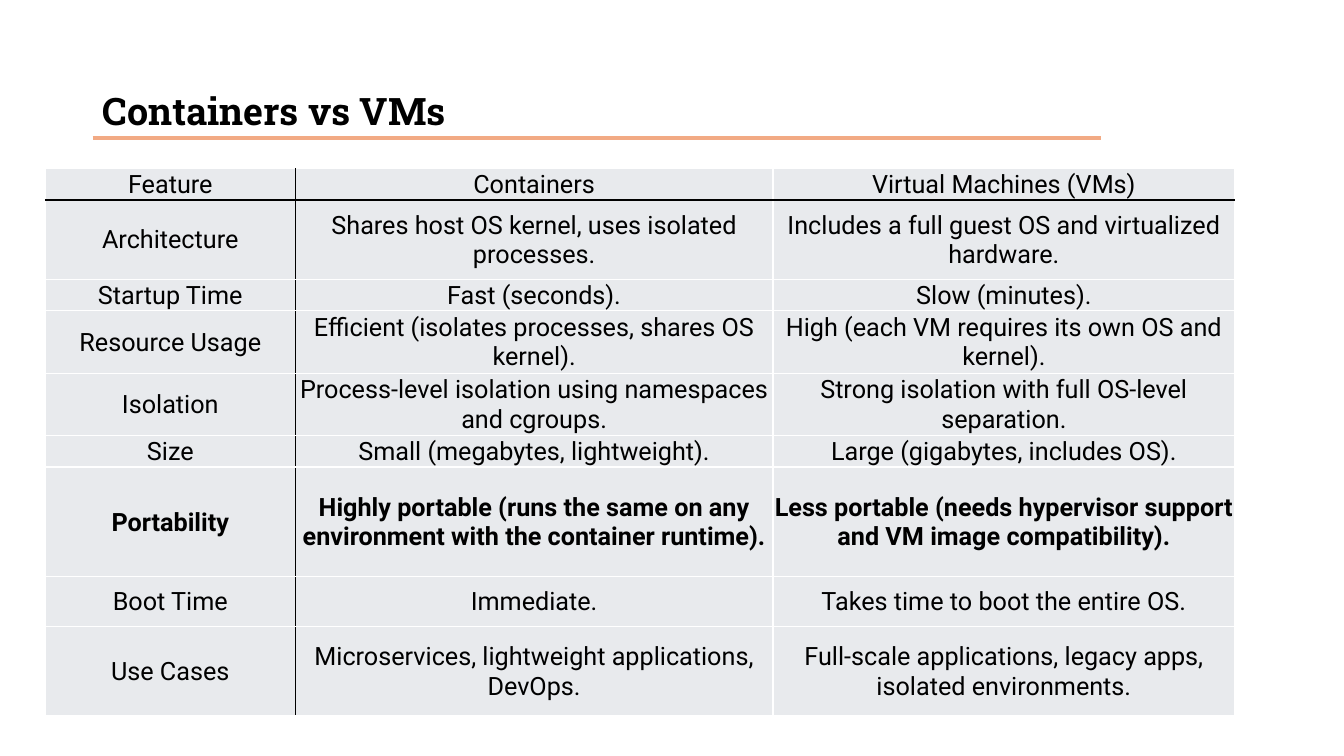
from dataclasses import dataclass

from lxml import etree
from pptx import Presentation
from pptx.dml.color import RGBColor
from pptx.enum.shapes import MSO_CONNECTOR
from pptx.enum.text import MSO_ANCHOR, PP_ALIGN
from pptx.oxml.ns import qn
from pptx.util import Pt

STRAIGHT = MSO_CONNECTOR.STRAIGHT
MIDDLE = MSO_ANCHOR.MIDDLE
LEFT, CENTER = PP_ALIGN.LEFT, PP_ALIGN.CENTER


@dataclass(frozen=True)
class Theme:
    """Colours, fonts and type sizes of the slide."""

    ink: str = "000000"
    accent: str = "F2AA84"
    cell: str = "E8EAED"
    grid: str = "FFFFFF"
    title_font: str = "Roboto Slab"
    body_font: str = "Roboto"
    title_size: float = 27
    body_size: float = 18
    rule_width: float = 2.25
    border_width: float = 1


@dataclass(frozen=True)
class Box:
    """A region of the slide, in points."""

    left: float
    top: float
    width: float
    height: float


THEME = Theme()
TITLE_BOX = Box(66.24, 28.8, 828, 104.4)
TABLE_BOX = Box(32.4, 120.5, 849.6, 390.9)
RULE_OFFSET, RULE_LENGTH = 69.84, 720
COLUMN_WIDTHS = (178.5, 341.3, 329.8)
EMPHASIS = "Portability"

COMPARISON = (
    (22.3, "Feature", "Containers", "Virtual Machines (VMs)"),
    (56.9, "Architecture", "Shares host OS kernel, uses isolated processes.",
     "Includes a full guest OS and virtualized hardware."),
    (22.3, "Startup Time", "Fast (seconds).", "Slow (minutes)."),
    (44.6, "Resource Usage", "Efficient (isolates processes, shares OS kernel).",
     "High (each VM requires its own OS and kernel)."),
    (44.6, "Isolation", "Process-level isolation using namespaces and cgroups.",
     "Strong isolation with full OS-level separation."),
    (22.3, "Size", "Small (megabytes, lightweight).", "Large (gigabytes, includes OS)."),
    (78.5, EMPHASIS,
     "Highly portable (runs the same on any environment with the container runtime).",
     "Less portable (needs hypervisor support and VM image compatibility)."),
    (35.3, "Boot Time", "Immediate.", "Takes time to boot the entire OS."),
    (64.1, "Use Cases", "Microservices, lightweight applications, DevOps.",
     "Full-scale applications, legacy apps, isolated environments."),
)


def write_text(paragraph, text, font_name, size, bold, alignment):
    """Add one styled run to a paragraph."""
    paragraph.alignment = alignment
    run = paragraph.add_run()
    run.text = text
    run.font.name = font_name
    run.font.size = Pt(size)
    run.font.bold = bold
    run.font.color.rgb = RGBColor.from_string(THEME.ink)


def add_heading(slide, box, text):
    """Place the title and the rule under it."""
    shape = slide.shapes.add_textbox(Pt(box.left), Pt(box.top), Pt(box.width), Pt(box.height))
    frame = shape.text_frame
    frame.word_wrap = True
    frame.vertical_anchor = MIDDLE
    paragraph = frame.paragraphs[0]
    paragraph.line_spacing = 0.9
    write_text(paragraph, text, THEME.title_font, THEME.title_size, True, LEFT)

    rule_top = Pt(box.top + RULE_OFFSET)
    rule = slide.shapes.add_connector(
        STRAIGHT, Pt(box.left), rule_top, Pt(box.left + RULE_LENGTH), rule_top)
    rule.line.color.rgb = RGBColor.from_string(THEME.accent)
    rule.line.width = Pt(THEME.rule_width)
    etree.SubElement(rule.element.spPr, qn("a:effectLst"))


def set_borders(cell, row, column):
    """Draw white cell borders, black below the header and beside the features."""
    dark_sides = {"L": column == 1, "R": column == 0, "T": row == 1, "B": row == 0}
    properties = cell._tc.get_or_add_tcPr()
    for side, dark in dark_sides.items():
        line = etree.SubElement(properties, qn(f"a:ln{side}"), w=str(Pt(THEME.border_width)))
        fill = etree.SubElement(line, qn("a:solidFill"))
        etree.SubElement(fill, qn("a:srgbClr"), val=THEME.ink if dark else THEME.grid)


def style_cell(cell, row, column):
    """Set the borders, fill, anchor and margins of a cell."""
    set_borders(cell, row, column)
    cell.fill.solid()
    cell.fill.fore_color.rgb = RGBColor.from_string(THEME.cell)
    cell.vertical_anchor = MIDDLE
    cell.margin_left = cell.margin_right = cell.margin_top = Pt(0.72)
    cell.margin_bottom = Pt(0)


def add_comparison(slide, box, rows):
    """Place the feature table in its box."""
    shape = slide.shapes.add_table(
        len(rows), len(COLUMN_WIDTHS),
        Pt(box.left), Pt(box.top), Pt(box.width), Pt(box.height))
    table = shape.table
    table.first_row = False
    table.horz_banding = False
    for column, width in zip(table.columns, COLUMN_WIDTHS):
        column.width = Pt(width)
    for row_index, (height, *texts) in enumerate(rows):
        table.rows[row_index].height = Pt(height)
        bold = texts[0] == EMPHASIS
        for column_index, text in enumerate(texts):
            cell = table.cell(row_index, column_index)
            style_cell(cell, row_index, column_index)
            write_text(cell.text_frame.paragraphs[0], text,
                       THEME.body_font, THEME.body_size, bold, CENTER)


def main():
    """Build and save the presentation."""
    presentation = Presentation()
    presentation.slide_width = Pt(960)
    presentation.slide_height = Pt(540)
    slide = presentation.slides.add_slide(presentation.slide_layouts[6])
    add_heading(slide, TITLE_BOX, "Containers vs VMs")
    add_comparison(slide, TABLE_BOX, COMPARISON)
    presentation.save("out.pptx")


if __name__ == "__main__":
    main()
